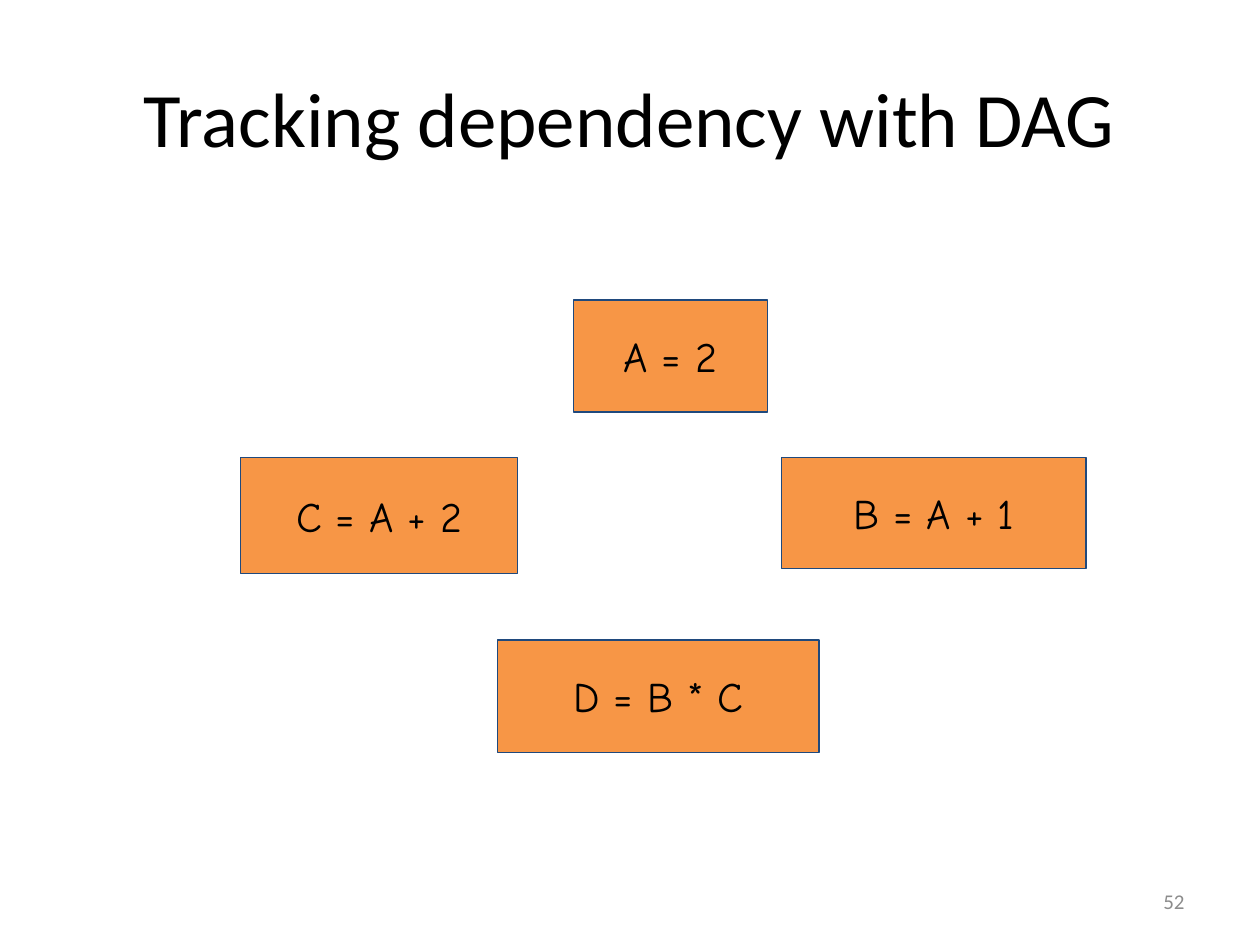
from dataclasses import dataclass

from pptx import Presentation
from pptx.dml.color import RGBColor
from pptx.enum.shapes import MSO_SHAPE
from pptx.enum.text import MSO_ANCHOR, PP_ALIGN
from pptx.util import Inches, Pt


@dataclass(frozen=True)
class Theme:
    text: RGBColor = RGBColor(0x00, 0x00, 0x00)
    muted: RGBColor = RGBColor(0x8C, 0x8C, 0x8C)
    node_fill: RGBColor = RGBColor(0xF7, 0x96, 0x46)
    node_line: RGBColor = RGBColor(0x1F, 0x49, 0x7D)
    title_font: str = "Calibri"
    node_font: str = "Comic Neue"
    title_size: int = 44
    node_size: int = 24
    number_size: int = 12
    line_width: float = 0.75


theme = Theme()


def write_text(shape, text, font, size, color, alignment):
    text_frame = shape.text_frame
    text_frame.text = text
    text_frame.word_wrap = True
    text_frame.vertical_anchor = MSO_ANCHOR.MIDDLE
    paragraph = text_frame.paragraphs[0]
    paragraph.alignment = alignment
    run = paragraph.runs[0]
    run.font.name = font
    run.font.size = Pt(size)
    run.font.color.rgb = color


presentation = Presentation()
presentation.slide_width = Inches(10)
presentation.slide_height = Inches(7.5)
slide = presentation.slides.add_slide(presentation.slide_layouts[5])

title = slide.shapes.title
title.left, title.top = Inches(0.5), Inches(0.3)
title.width, title.height = Inches(9), Inches(1.25)
write_text(title, "Tracking dependency with DAG", theme.title_font,
           theme.title_size, theme.text, PP_ALIGN.CENTER)

nodes = [
    ("A = 2", 4.55, 2.38, 1.54, 0.89),
    ("B = A + 1", 6.2, 3.63, 2.42, 0.88),
    ("C = A + 2", 1.91, 3.63, 2.2, 0.92),
    ("D = B * C", 3.95, 5.08, 2.55, 0.89),
]
for formula, left, top, width, height in nodes:
    node = slide.shapes.add_shape(
        MSO_SHAPE.RECTANGLE, Inches(left), Inches(top), Inches(width), Inches(height))
    node.shadow.inherit = False
    node.fill.solid()
    node.fill.fore_color.rgb = theme.node_fill
    node.line.color.rgb = theme.node_line
    node.line.width = Pt(theme.line_width)
    text_frame = node.text_frame
    text_frame.margin_left = text_frame.margin_right = Inches(0.07)
    text_frame.margin_top = text_frame.margin_bottom = Inches(0.07)
    write_text(node, formula, theme.node_font, theme.node_size,
               theme.text, PP_ALIGN.CENTER)

page_number = slide.shapes.add_textbox(
    Inches(7.17), Inches(6.95), Inches(2.33), Inches(0.4))
write_text(page_number, "52", theme.title_font, theme.number_size,
           theme.muted, PP_ALIGN.RIGHT)

presentation.save("out.pptx")
